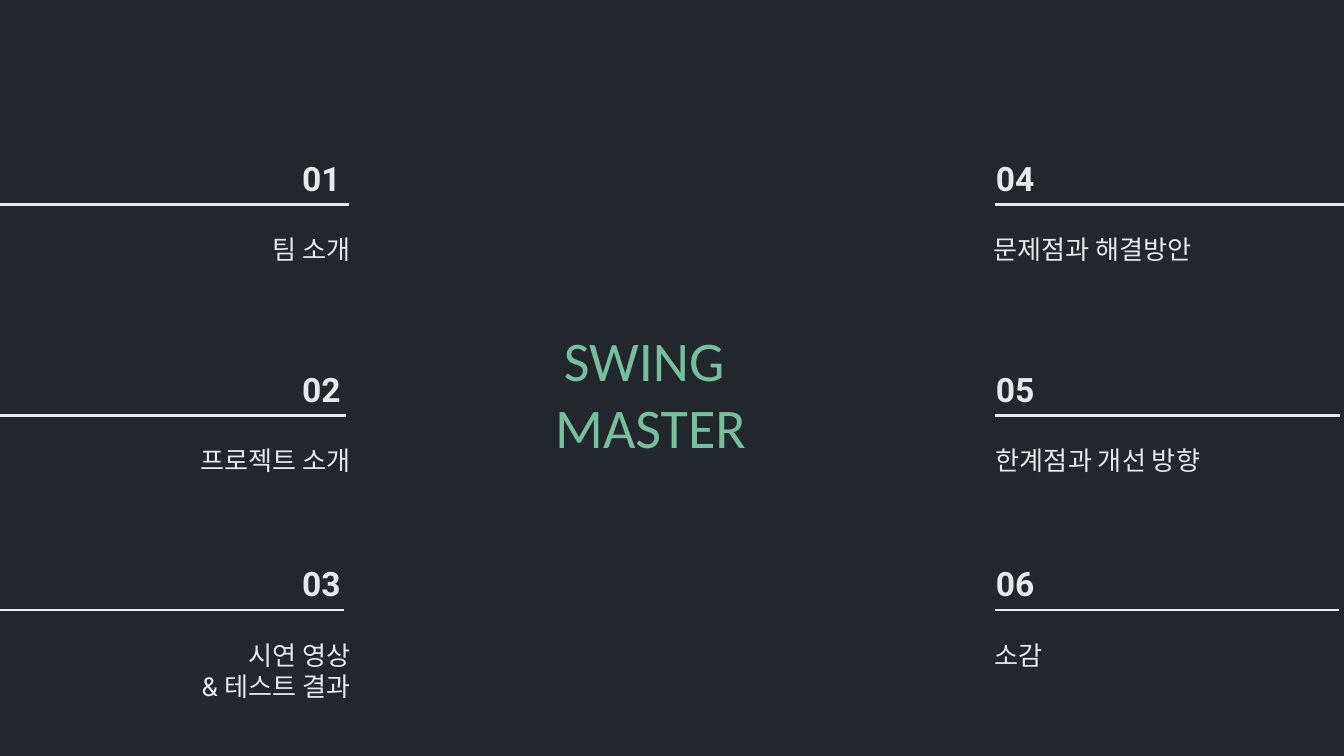
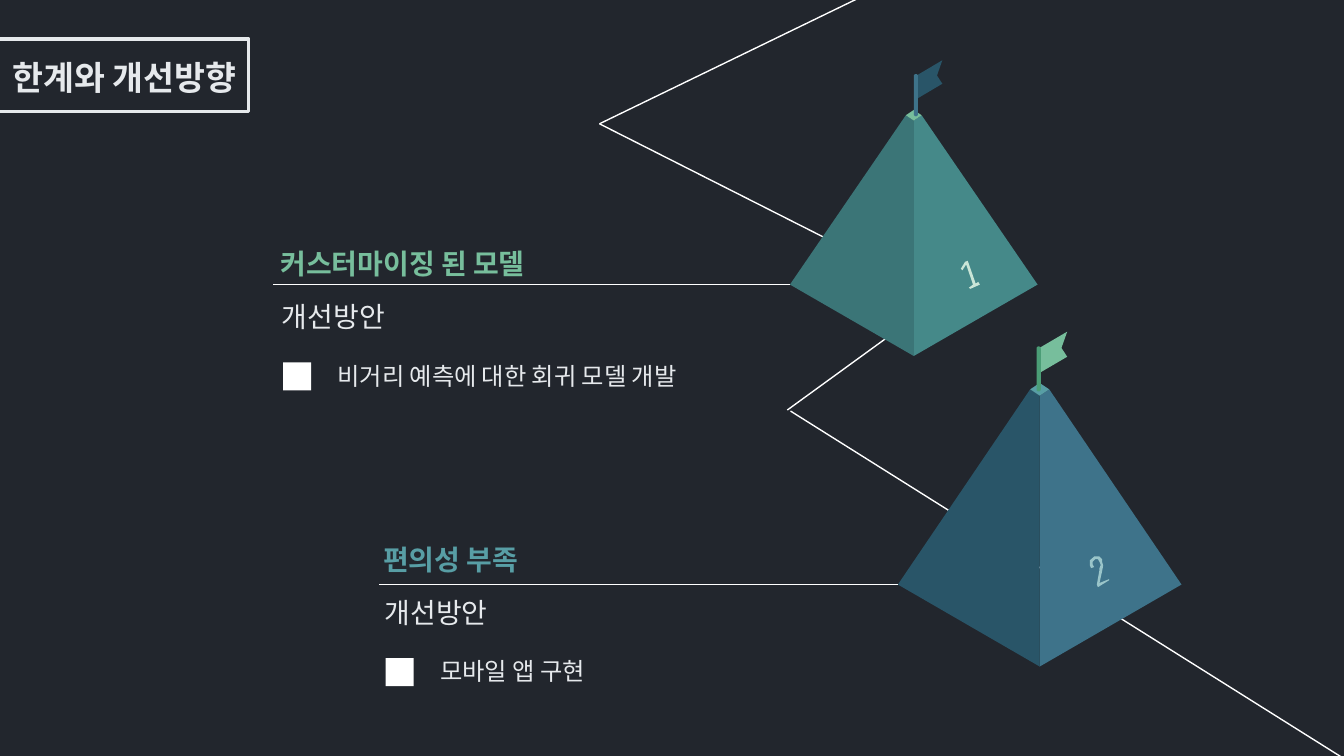
"""Builds the contents slide and the limits-and-improvements slide."""
import pptx
import pptx.dml.color
import pptx.enum.shapes
import pptx.enum.text
import pptx.oxml.ns
import pptx.util
from lxml import etree

Cm = pptx.util.Cm
Pt = pptx.util.Pt
SHAPE = pptx.enum.shapes.MSO_SHAPE
ALIGN = pptx.enum.text.PP_ALIGN
ANCHOR = pptx.enum.text.MSO_ANCHOR

COLORS = {
    "back": "22262D", "text": "E6E9EC", "white": "FFFFFF",
    "green": "77BE9C", "dark_green": "4B9D76", "pale_green": "C9E5D7",
    "teal": "458989", "dark_teal": "3B7577", "cyan": "589EA5",
    "pale_cyan": "9AC5C9", "blue": "3E738A", "dark_blue": "295568",
}
WIDTH, HEIGHT = 25.4, 14.29

CENTER = ["SWING ", "MASTER"]
ROWS = [(3.86, 6.6), (7.85, 6.53), (11.53, 6.5)]
LEFT_LABELS = [(["팀 소개"], 2.67), (["프로젝트 소개"], 3.48),
               (["시연 영상", "& 테스트 결과"], 3.48)]
RIGHT_LABELS = [(["문제점과 해결방안"], 18.52, 5.51), (["한계점과 개선 방향"], 18.57, 4.78),
                (["소감"], 18.54, 5.08)]
LEFT_EDGE, RIGHT_EDGE = 6.88, 18.8

TITLE = "한계와 개선방향"
TRAIL = [((18.06, 5.44), (14.88, 7.75)), ((22.07, -2.87), (11.33, 2.34)),
         ((11.33, 2.34), (17.2, 5.31)), ((14.94, 7.77), (28.09, 16.03))]
ONE = [(18.29, 4.93), (18.24, 4.95), (18.16, 5.08), (18.19, 5.11), (18.26, 5),
       (18.39, 5.38), (18.31, 5.44), (18.34, 5.46), (18.52, 5.38), (18.49, 5.33),
       (18.44, 5.36)]
TWO = [(20.73, 10.52), (20.68, 10.52), (20.6, 10.59), (20.6, 10.69), (20.62, 10.74),
       (20.68, 10.72), (20.65, 10.67), (20.65, 10.62), (20.7, 10.57), (20.75, 10.57),
       (20.78, 10.62), (20.8, 10.67), (20.8, 10.69), (20.78, 10.74), (20.78, 10.77),
       (20.73, 11.05), (20.75, 11.1), (20.96, 10.97), (20.96, 10.95), (20.78, 11.02),
       (20.83, 10.8), (20.85, 10.69), (20.83, 10.62), (20.83, 10.57), (20.78, 10.52)]
PYRAMIDS = [
    {"cx": 17.27, "top": 2.08, "cap": (0.15, 0.1), "half": 2.34, "side": 5.38,
     "bottom": 6.73, "faces": ("green", "teal", "dark_teal"),
     "digit": ONE, "digit_color": "pale_green",
     "flag": (17.31, 1.14, 0.5, 0.74), "flag_colors": ("dark_blue", "blue")},
    {"cx": 19.65, "top": 7.24, "cap": (0.18, 0.12), "half": 2.68, "side": 11.05,
     "bottom": 12.6, "faces": ("cyan", "blue", "dark_blue"),
     "digit": TWO, "digit_color": "pale_cyan",
     "flag": (19.63, 6.27, 0.54, 0.79), "flag_colors": ("green", "dark_green")},
]
TOPICS = [
    {"head": "커스터마이징 된 모델", "color": "green", "item": "비거리 예측에 대한 회귀 모델 개발",
     "at": (5.05, 4.53), "leader": 5.16, "item_width": 6.96},
    {"head": "편의성 부족", "color": "cyan", "item": "모바일 앱 구현",
     "at": (6.99, 10.12), "leader": 7.16, "item_width": 3.35},
]
SUBHEAD = "개선방안"


def rgb(name):
    return pptx.dml.color.RGBColor.from_string(COLORS[name])


def add_slide(prs):
    s = prs.slides.add_slide(prs.slide_layouts[6])
    s.background.fill.solid()
    s.background.fill.fore_color.rgb = rgb("back")
    return s


def add_text(s, lines, x, y, w, h, size, color="text", bold=False, font="Roboto",
             align=ALIGN.LEFT, anchor=ANCHOR.TOP, pad=0.13):
    tf = s.shapes.add_textbox(Cm(x), Cm(y), Cm(w), Cm(h)).text_frame
    tf.word_wrap = True
    tf.vertical_anchor = anchor
    tf.margin_top = tf.margin_bottom = Cm(pad)
    for i, line in enumerate(lines):
        p = tf.add_paragraph() if i else tf.paragraphs[0]
        p.text = line
        p.alignment = align
        p.font.name, p.font.size, p.font.bold = font, Pt(size), bold
        p.font.color.rgb = rgb(color)


def add_line(s, start, end, color="white", width=0.75):
    points = [Cm(v) for v in (*start, *end)]
    c = s.shapes.add_connector(pptx.enum.shapes.MSO_CONNECTOR.STRAIGHT, *points)
    c.line.color.rgb = rgb(color)
    c.line.width = Pt(width)
    etree.SubElement(c._element.spPr, pptx.oxml.ns.qn("a:effectLst"))


def paint(sp, color):
    sp.shadow.inherit = False
    sp.fill.solid()
    sp.fill.fore_color.rgb = rgb(color)
    sp.line.fill.background()


def add_box(s, kind, x, y, w, h):
    return s.shapes.add_shape(kind, Cm(x), Cm(y), Cm(w), Cm(h))


def add_polygon(s, points, color):
    first, *rest = [(Cm(x), Cm(y)) for x, y in points]
    builder = s.shapes.build_freeform(*first)
    builder.add_line_segments(rest, close=True)
    paint(builder.convert_to_shape(), color)


def add_pyramid(s, d):
    cx, top, side = d["cx"], d["top"], d["side"]
    cap_w, cap_h = d["cap"]
    cap_color, right_color, left_color = d["faces"]
    tip, foot = (cx, top + 2 * cap_h), (cx, d["bottom"])
    for sign, color in ((1, right_color), (-1, left_color)):
        shoulder = (cx + sign * cap_w, top + cap_h)
        add_polygon(s, [shoulder, tip, foot, (cx + sign * d["half"], side)], color)
    add_polygon(s, [(cx, top), (cx - cap_w, top + cap_h), tip, (cx + cap_w, top + cap_h)],
                cap_color)
    add_polygon(s, d["digit"], d["digit_color"])


def add_flag(s, d):
    x, y, w, h = d["flag"]
    cloth, pole = d["flag_colors"]
    outline = [(1, 0), (0, 0.4), (0, 1), (1, 0.6), (0.8, 0.39)]
    add_polygon(s, [(x + w * u, y + h * v) for u, v in outline], cloth)
    sp = add_box(s, SHAPE.ROUNDED_RECTANGLE, x - 0.04, y + 0.35 * h, 0.08, 1.08 * h)
    sp.adjustments[0] = 0.5
    paint(sp, pole)


def add_topic(s, topic, pyramid):
    x, y = topic["at"]
    side = pyramid["side"]
    add_line(s, (pyramid["cx"] - pyramid["half"], side), (topic["leader"], side))
    add_text(s, [topic["head"]], x, y, 8.13, 0.91, 15, topic["color"], True,
             anchor=ANCHOR.MIDDLE)
    add_text(s, [SUBHEAD], x + 0.03, y + 1, 2.64, 0.91, 15, anchor=ANCHOR.MIDDLE)
    paint(add_box(s, SHAPE.RECTANGLE, x + 0.3, y + 2.32, 0.53, 0.53), "white")
    add_text(s, [topic["item"]], x + 1.08, y + 2.16, topic["item_width"], 0.81, 13)


def contents_slide(prs):
    s = add_slide(prs)
    add_text(s, CENTER, 9.12, 6.1, 6.35, 2.84, 30, "green", font="Calibri",
             align=ALIGN.CENTER, anchor=ANCHOR.BOTTOM, pad=0.25)
    left = [(lines, LEFT_EDGE - w, w) for lines, w in LEFT_LABELS]
    columns = [(left, 0, 5.46, ALIGN.RIGHT), (RIGHT_LABELS, RIGHT_EDGE, 18.57, ALIGN.LEFT)]
    number = 0
    for labels, line_x, number_x, align in columns:
        for (y, length), (lines, x, w) in zip(ROWS, labels):
            number += 1
            add_text(s, [f"{number:02}"], number_x, y - 1.01, 1.32, 1.02, 18, bold=True)
            add_line(s, (line_x, y), (line_x + length, y), "text", 1.5)
            add_text(s, lines, x, y + 0.42, w, 0.27 + 0.59 * len(lines), 14, align=align)


def limits_slide(prs):
    s = add_slide(prs)
    for start, end in TRAIL:
        add_line(s, start, end)
    frame = add_box(s, SHAPE.RECTANGLE, -0.46, 0.74, 5.16, 1.37)
    frame.shadow.inherit = False
    frame.fill.background()
    frame.line.color.rgb = rgb("text")
    frame.line.width = Pt(2)
    add_text(s, [TITLE], -0.89, 0.94, 5.61, 1.02, 18, bold=True, align=ALIGN.RIGHT)
    for pyramid, topic in zip(PYRAMIDS, TOPICS):
        add_pyramid(s, pyramid)
        add_flag(s, pyramid)
        add_topic(s, topic, pyramid)


def main():
    prs = pptx.Presentation()
    prs.slide_width, prs.slide_height = Cm(WIDTH), Cm(HEIGHT)
    contents_slide(prs)
    limits_slide(prs)
    prs.save("out.pptx")


if __name__ == "__main__":
    main()
